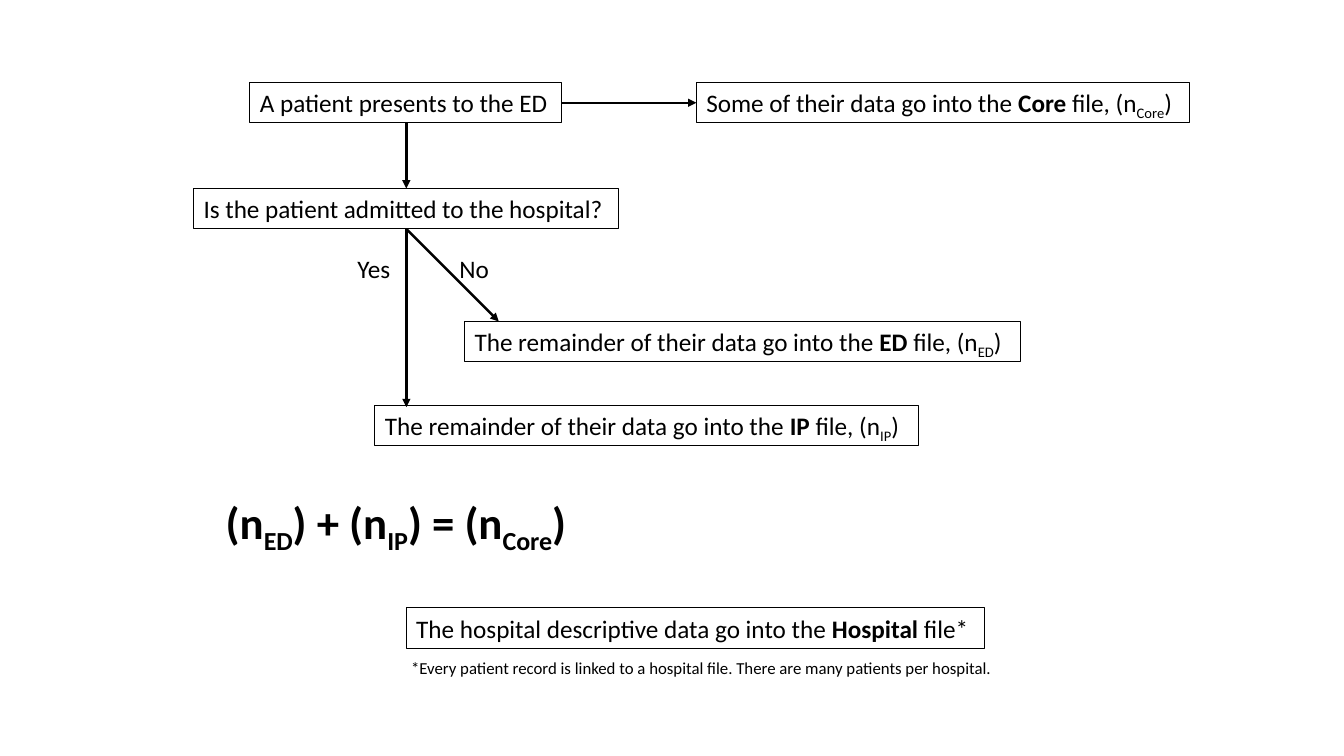
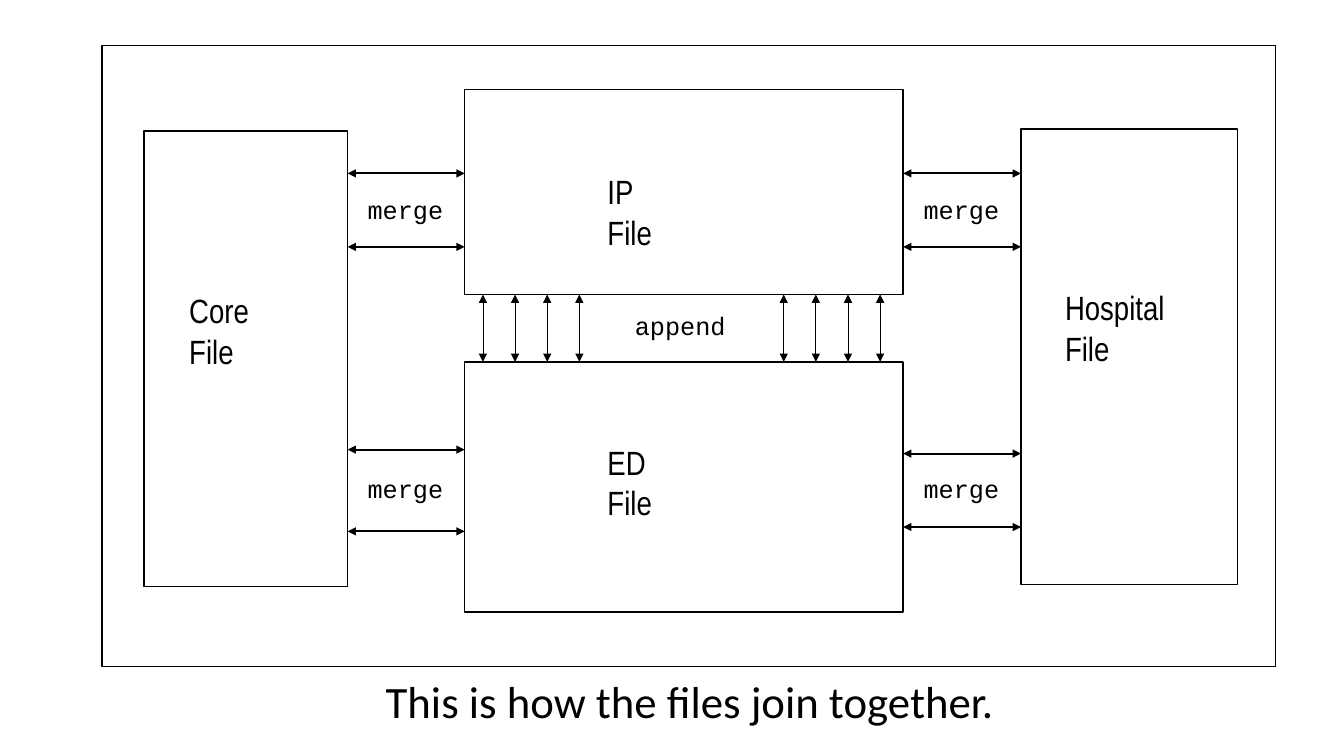
from lxml.etree import SubElement
from pptx import Presentation
from pptx.dml.color import RGBColor
from pptx.enum.shapes import MSO_CONNECTOR, MSO_SHAPE
from pptx.enum.text import MSO_ANCHOR, MSO_AUTO_SIZE, PP_ALIGN
from pptx.oxml.ns import qn
from pptx.util import Cm, Pt

BLACK, WHITE = "000000", "FFFFFF"
BODY, NARROW, CODE = "Calibri", "Arial Narrow", "Courier New"
ROW = 1.02
REMAINDER = "The remainder of their data go into the "

STEPS = {
    "arrival": ((6.3, 2.08, 7.85, ROW), [("A patient presents to the ED", "")]),
    "core": ((17.55, 2.08, 12.42, ROW), [
        ("Some of their data go into the ", ""), ("Core", "bold"),
        (" file, (n", ""), ("Core", "sub"), (")", "")]),
    "question": ((4.88, 4.75, 10.72, ROW),
                 [("Is the patient admitted to the hospital?", "")]),
    "ed": ((11.71, 8.1, 14.02, ROW), [
        (REMAINDER, ""), ("ED", "bold"), (" file, (n", ""), ("ED", "sub"), (")", "")]),
    "ip": ((9.45, 10.21, 13.69, ROW), [
        (REMAINDER, ""), ("IP", "bold"), (" file, (n", ""), ("IP", "sub"), (")", "")]),
    "hospital": ((10.24, 15.32, 14.58, ROW), [
        ("The hospital descriptive data go into the ", ""), ("Hospital", "bold"),
        (" file*", "")]),
}
FLOW_LABELS = [
    ((11.33, 6.25, 1.27, ROW), 18, [("No", "")]),
    ((8.76, 6.25, 1.35, ROW), 18, [("Yes", "")]),
    ((5.44, 12.34, 9.58, 1.63), 32, [
        ("(n", "bold"), ("ED", "bold sub"), (") + (n", "bold"), ("IP", "bold sub"),
        (") = (n", "bold"), ("Core", "bold sub"), (")", "bold")]),
    ((10.11, 16.46, 15.29, 0.76), 12, [
        ("*Every patient record is linked to a hospital file. "
         "There are many patients per hospital.", "")]),
]

FRAME = (2.57, 1.14, 29.57, 15.65)
FILES = {
    "Core File": ((3.63, 3.3, 5.13, 11.48), (4.52, 7.19, 2.9, 1.27)),
    "ED File": ((11.71, 9.12, 11.05, 6.3), (15.06, 11, 2.26, 1.27)),
    "IP File": ((11.71, 2.26, 11.05, 5.16), (15.06, 4.19, 2.11, 1.27)),
    "Hospital File": ((25.73, 3.25, 5.46, 11.48), (26.59, 7.11, 3.76, 1.27)),
}
MERGES = [
    ("Core File", "IP File", (4.37, 6.22, 11.33, 13.39)),
    ("IP File", "Hospital File", (4.37, 6.22, 11.43, 13.28)),
]
MERGE_LABEL_WIDTH, MERGE_LABEL_TOPS = 2.44, (4.78, 11.81)
APPEND_STARTS, APPEND_STEP, APPEND_COUNT = (12.17, 19.75), 0.81, 4
APPEND_LABEL = (15.75, 7.7, 2.82, ROW)
CAPTION = ((9.47, 16.84, 16.26, 1.63), "This is how the files join together. ")


def color(value):
    return RGBColor.from_string(value)


def add_text(shape, runs, size, font, wrap=False):
    frame = shape.text_frame
    frame.word_wrap = wrap
    frame.auto_size = MSO_AUTO_SIZE.NONE if wrap else MSO_AUTO_SIZE.SHAPE_TO_FIT_TEXT
    frame.vertical_anchor = MSO_ANCHOR.TOP
    paragraph = frame.paragraphs[0]
    paragraph.alignment = PP_ALIGN.LEFT
    for text, style in runs:
        run = paragraph.add_run()
        run.text = text
        run.font.name = font
        run.font.size = Pt(size)
        run.font.bold = "bold" in style
        run.font.color.rgb = color(BLACK)
        if "sub" in style:
            run._r.get_or_add_rPr().set("baseline", "-25000")


def add_box(slide, place, line_width, fill=None):
    shape = slide.shapes.add_shape(MSO_SHAPE.RECTANGLE, *map(Cm, place))
    shape.shadow.inherit = False
    if fill:
        shape.fill.solid()
        shape.fill.fore_color.rgb = color(fill)
    else:
        shape.fill.background()
    shape.line.color.rgb = color(BLACK)
    shape.line.width = Pt(line_width)
    return shape


def add_label(slide, place, runs, size, font=BODY, wrap=False):
    add_text(slide.shapes.add_textbox(*map(Cm, place)), runs, size, font, wrap)


def add_arrow(slide, start, end, width, both=False):
    connector = slide.shapes.add_connector(
        MSO_CONNECTOR.STRAIGHT, *map(Cm, start + end))
    connector.line.color.rgb = color(BLACK)
    connector.line.width = Pt(width)
    line = connector.line._get_or_add_ln()
    for tag in ("a:headEnd", "a:tailEnd") if both else ("a:tailEnd",):
        SubElement(line, qn(tag), type="triangle")
    SubElement(connector._element.spPr, qn("a:effectLst"))


def right(place):
    return place[0] + place[2]


def bottom(place):
    return place[1] + place[3]


def build_flow(slide):
    for place, runs in STEPS.values():
        add_text(add_box(slide, place, 0.75), runs, 18, BODY)
    arrival, core, question, ed, ip = (
        STEPS[name][0] for name in ("arrival", "core", "question", "ed", "ip"))
    middle = question[0] + question[2] / 2
    level = arrival[1] + ROW / 2
    drop = ed[1] - bottom(question)
    for start, end in [
        ((right(arrival), level), (core[0], level)),
        ((middle, bottom(arrival)), (middle, question[1])),
        ((middle, bottom(question)), (middle, ip[1] + 0.05)),
        ((middle, bottom(question)), (middle + drop, ed[1])),
    ]:
        add_arrow(slide, start, end, 1.75)
    for place, size, runs in FLOW_LABELS:
        add_label(slide, place, runs, size)


def build_join(slide):
    add_box(slide, FRAME, 1, WHITE)
    for name, (place, label) in FILES.items():
        add_box(slide, place, 1, WHITE)
        add_label(slide, label, [(name, "")], 24, NARROW, wrap=True)
    top, end = bottom(FILES["IP File"][0]), FILES["ED File"][0][1]
    for start in APPEND_STARTS:
        for index in range(APPEND_COUNT):
            x = start + index * APPEND_STEP
            add_arrow(slide, (x, top), (x, end), 0.5, both=True)
    add_label(slide, APPEND_LABEL, [("append", "")], 18, CODE)
    for first, second, levels in MERGES:
        left, end = right(FILES[first][0]), FILES[second][0][0]
        for y in levels:
            add_arrow(slide, (left, y), (end, y), 1.5, both=True)
        x = (left + end - MERGE_LABEL_WIDTH) / 2
        for y in MERGE_LABEL_TOPS:
            add_label(slide, (x, y, MERGE_LABEL_WIDTH, ROW), [("merge", "")], 18, CODE)
    place, text = CAPTION
    add_label(slide, place, [(text, "")], 32)


presentation = Presentation()
presentation.slide_width, presentation.slide_height = Cm(33.87), Cm(19.05)
for build in (build_flow, build_join):
    build(presentation.slides.add_slide(presentation.slide_layouts[6]))
presentation.save("out.pptx")
